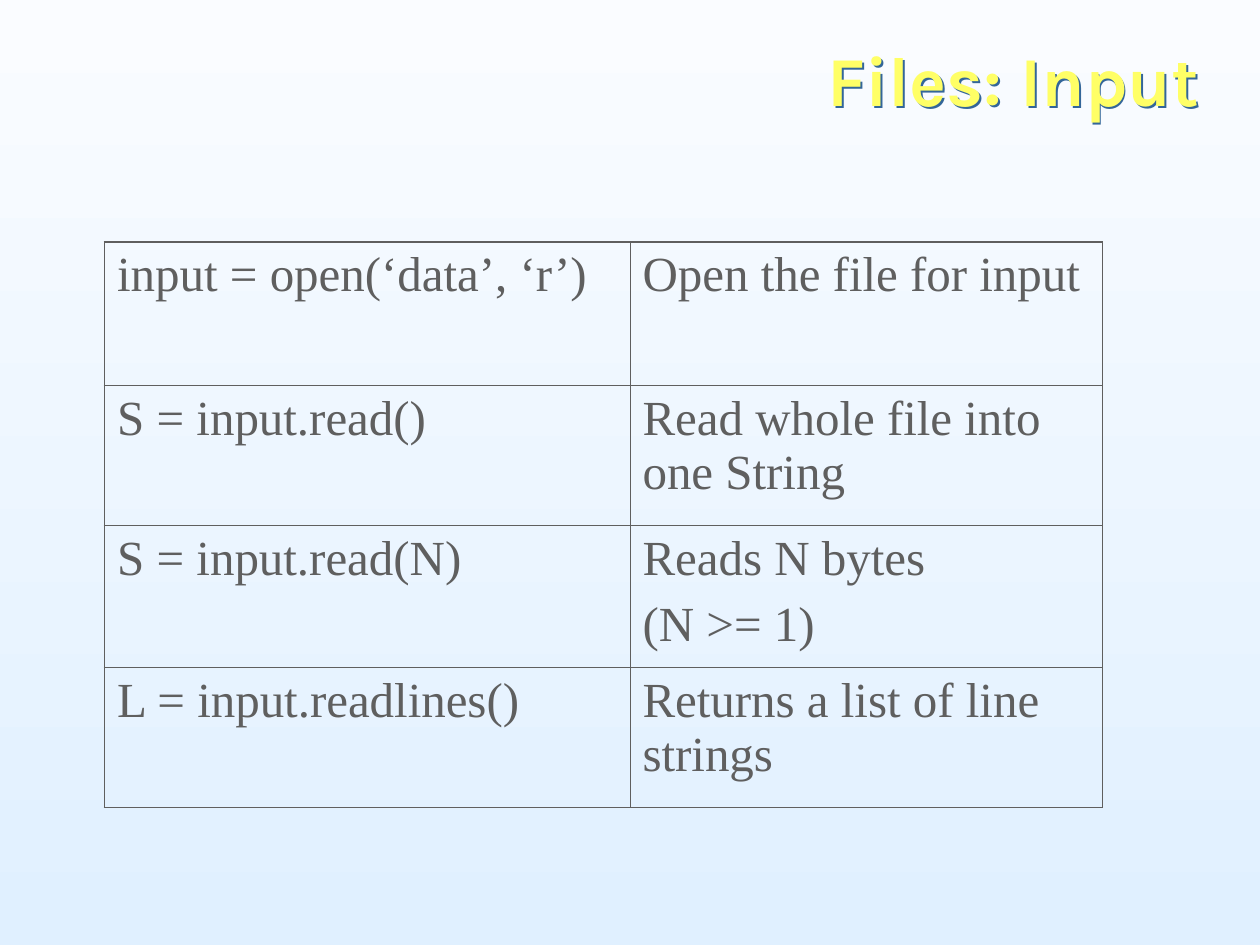
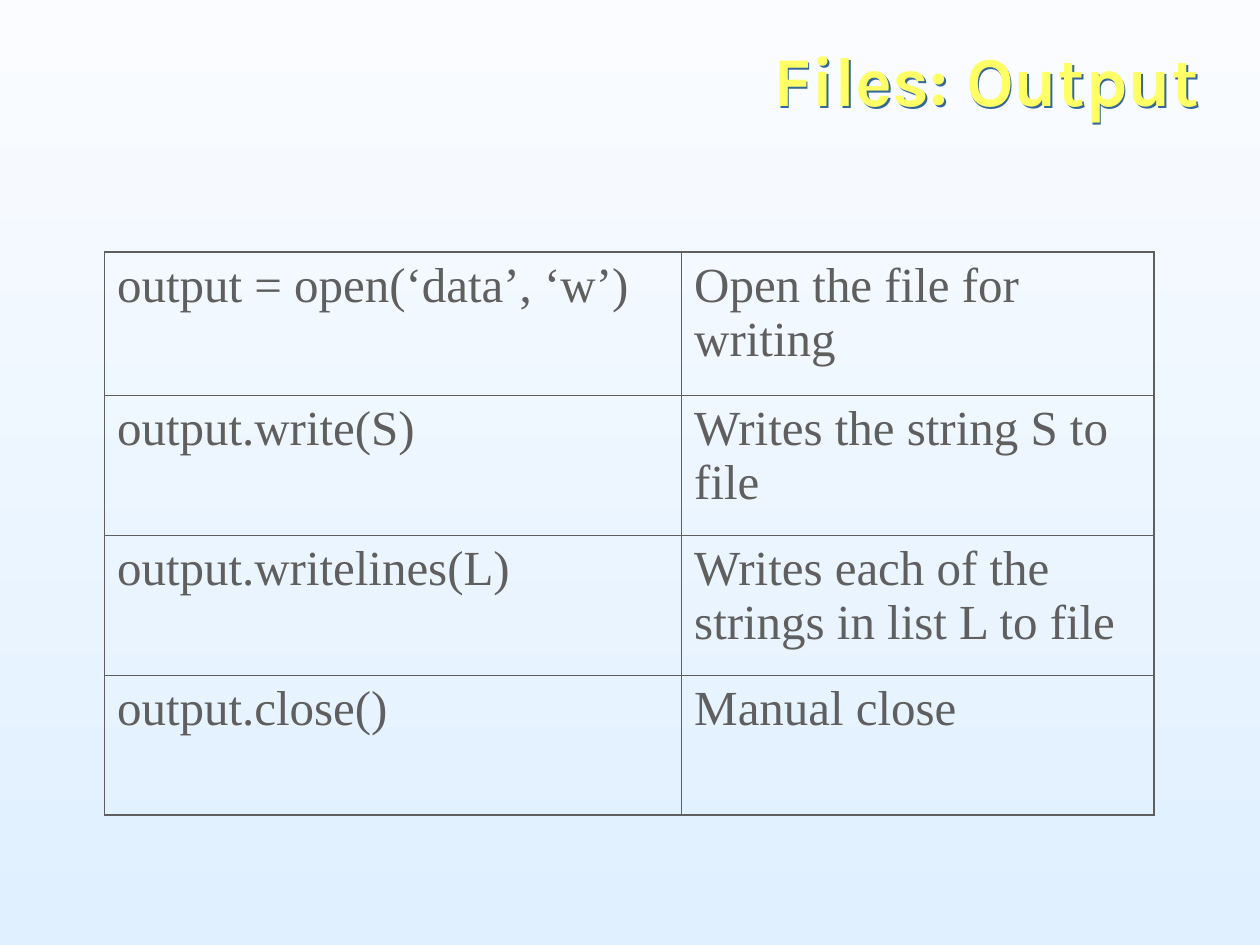
from lxml import etree
from pptx import Presentation
from pptx import util as u
from pptx.dml.color import RGBColor
from pptx.enum import text
from pptx.oxml import ns

SKY_TOP = RGBColor(0xFA, 0xFC, 0xFF)
SKY_BOTTOM = RGBColor(0xE0, 0xF0, 0xFF)
YELLOW = RGBColor(0xFF, 0xFF, 0x66)
TITLE_SHADOW = RGBColor(0x33, 0x66, 0x99)
GREY = RGBColor(0x5F, 0x5F, 0x5F)
TITLE_FONT, BODY_FONT = "Karla", "Times New Roman"
TITLE_BOX = (2.46, 0.05, 7.16, 1.25)
OUTER_LINE, INNER_LINE = 1.08, 0.45

INPUT_CALLS = [
    ("input = open(‘data’, ‘r’)", "Open the file for input"),
    ("S = input.read()", "Read whole file into one String"),
    ("S = input.read(N)", "Reads N bytes\n(N >= 1)"),
    ("L = input.readlines()", "Returns a list of line strings"),
]
OUTPUT_CALLS = [
    ("output = open(‘data’, ‘w’)", "Open the file for writing"),
    ("output.write(S)", "Writes the string S to file"),
    ("output.writelines(L)", "Writes each of the strings in list L to file"),
    ("output.close()", "Manual close"),
]


def add_child(parent, tag, **attributes):
    """Append a DrawingML element and return it."""
    return etree.SubElement(parent, ns.qn(tag), **attributes)


def paint_background(master):
    """Give every slide the pale vertical gradient."""
    fill = master.background.fill
    fill.gradient()
    fill.gradient_angle = 270
    for stop, colour in zip(fill.gradient_stops, (SKY_TOP, SKY_BOTTOM)):
        stop.color.rgb = colour


def style_runs(paragraph, font_name, size, colour, bold=False):
    """Set the font of all runs in a paragraph."""
    for run in paragraph.runs:
        run.font.name = font_name
        run.font.size = u.Pt(size)
        run.font.bold = bold
        run.font.color.rgb = colour


def write_title(heading, wording, box):
    """Place the right-aligned yellow title with its shadow."""
    heading.left, heading.top, heading.width, heading.height = map(u.Inches, box)
    frame = heading.text_frame
    frame.text = wording
    frame.word_wrap = True
    frame.auto_size = text.MSO_AUTO_SIZE.NONE
    frame.vertical_anchor = text.MSO_ANCHOR.MIDDLE
    line = frame.paragraphs[0]
    line.alignment = text.PP_ALIGN.RIGHT
    line.line_spacing = 0.85
    style_runs(line, TITLE_FONT, 40, YELLOW, bold=True)
    effects = add_child(heading.element.spPr, "a:effectLst")
    shadow = add_child(effects, "a:outerShdw", dist=str(u.Pt(1.4)), dir="2700000")
    add_child(shadow, "a:srgbClr", val=str(TITLE_SHADOW))


def draw_borders(cell, widths):
    """Line the left, right, top and bottom of a cell, in that order."""
    properties = cell._tc.get_or_add_tcPr()
    for position, (side, width) in enumerate(zip("LRTB", widths)):
        border = etree.Element(ns.qn(f"a:ln{side}"), w=str(u.Pt(width)))
        colour = add_child(add_child(border, "a:solidFill"), "a:srgbClr")
        colour.set("val", str(GREY))
        properties.insert(position, border)


def write_cell(cell, wording):
    """Fill a transparent cell with grey body text."""
    cell.fill.background()
    cell.text_frame.text = wording
    for index, paragraph in enumerate(cell.text_frame.paragraphs):
        paragraph.space_before = u.Pt(7 if index else 0)
        style_runs(paragraph, BODY_FONT, 28, GREY)


def add_call_table(slide, calls, left, top, column_widths, row_heights):
    """Draw the grid of file calls and their meanings."""
    box = (left, top, sum(column_widths), sum(row_heights))
    grid = slide.shapes.add_table(len(calls), 2, *map(u.Inches, box)).table
    grid.first_row = grid.horz_banding = False
    for column, width in zip(grid.columns, column_widths):
        column.width = u.Inches(width)
    for row, height in zip(grid.rows, row_heights):
        row.height = u.Inches(height)
    last = len(calls) - 1
    for r, call in enumerate(calls):
        for c, wording in enumerate(call):
            write_cell(grid.cell(r, c), wording)
            on_edge = (c == 0, c == 1, r == 0, r == last)
            draw_borders(grid.cell(r, c),
                         [OUTER_LINE if edge else INNER_LINE for edge in on_edge])


def add_file_slide(deck, title, calls, **placing):
    """Add a titled slide with one table of calls."""
    slide = deck.slides.add_slide(deck.slide_layouts[5])
    write_title(slide.shapes.title, title, TITLE_BOX)
    add_call_table(slide, calls, **placing)


def main():
    """Build and save both slides."""
    deck = Presentation()
    deck.slide_width, deck.slide_height = u.Inches(10), u.Inches(7.5)
    paint_background(deck.slide_master)
    add_file_slide(deck, "Files: Input", INPUT_CALLS, left=0.83, top=1.92,
                   column_widths=(4.17, 3.75), row_heights=(1.14, 1.11, 1.13, 1.11))
    add_file_slide(deck, "Files: Output", OUTPUT_CALLS, left=0.83, top=2,
                   column_widths=(4.58, 3.75), row_heights=(1.14, 1.11, 1.11, 1.11))
    deck.save("out.pptx")


if __name__ == "__main__":
    main()
